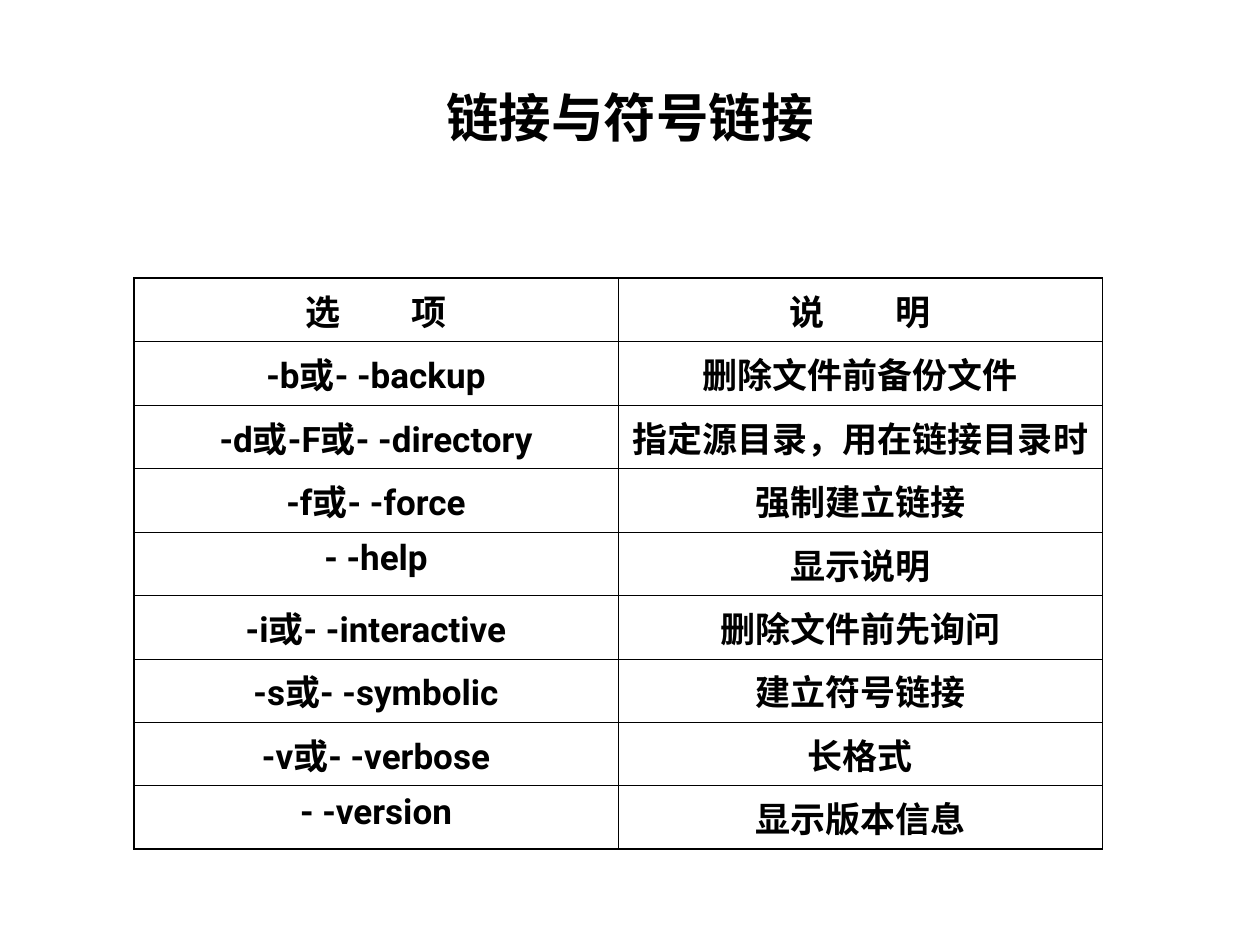
"""Build a slide with a table of link command options."""
from lxml import etree
from pptx import Presentation
from pptx import util as u
from pptx.dml.color import RGBColor
from pptx.enum import text
from pptx.oxml import ns

COLORS = {"ink": "000000", "paper": "FFFFFF"}
CJK = "Noto Sans CJK SC"
LATIN = "Roboto"
OUTER, INNER = 1.08, 0.45
COL_WIDTH, ROW_HEIGHT = 276.75, 36.28
HEADER_GAP = 36
ROWS = [
    ("选 项", "说 明"),
    ("-b或- -backup", "删除文件前备份文件"),
    ("-d或-F或- -directory", "指定源目录，用在链接目录时"),
    ("-f或- -force", "强制建立链接"),
    ("- -help", "显示说明"),
    ("-i或- -interactive", "删除文件前先询问"),
    ("-s或- -symbolic", "建立符号链接"),
    ("-v或- -verbose", "长格式"),
    ("- -version", "显示版本信息"),
]


def add_run(p, content, size=20, font=LATIN, color="ink", spacing=0):
    """Add a bold run with Latin and East Asian fonts and letter spacing."""
    r = p.add_run()
    r.text = content
    r.font.size = u.Pt(size)
    r.font.bold = True
    r.font.color.rgb = RGBColor.from_string(COLORS[color])
    r.font.name = font
    rPr = r._r.get_or_add_rPr()
    etree.SubElement(rPr, ns.qn("a:ea"), typeface=CJK)
    if spacing:
        rPr.set("spc", str(round(spacing * 100)))


def add_title(s, content):
    """Add the centred slide title."""
    sp = s.shapes.add_textbox(u.Pt(36), u.Pt(21.6), u.Pt(648), u.Pt(90))
    tf = sp.text_frame
    tf.word_wrap = True
    tf.vertical_anchor = text.MSO_ANCHOR.MIDDLE
    p = tf.paragraphs[0]
    p.alignment = text.PP_ALIGN.CENTER
    add_run(p, content, size=30, font=CJK)


def set_borders(cell, widths):
    """Draw the cell borders with the given width for each side."""
    tcPr = cell._tc.get_or_add_tcPr()
    for i, (side, width) in enumerate(widths.items()):
        ln = etree.Element(ns.qn(f"a:ln{side}"), w=str(u.Pt(width)))
        fill = etree.SubElement(ln, ns.qn("a:solidFill"))
        etree.SubElement(fill, ns.qn("a:srgbClr"), val=COLORS["ink"])
        tcPr.insert(i, ln)


def fill_cell(cell, content, header):
    """Write centred text in a cell, widening the gap in a header."""
    cell.fill.solid()
    cell.fill.fore_color.rgb = RGBColor.from_string(COLORS["paper"])
    p = cell.text_frame.paragraphs[0]
    p.alignment = text.PP_ALIGN.CENTER
    if header:
        first, last = content.split()
        add_run(p, first)
        add_run(p, " ", spacing=HEADER_GAP)
        add_run(p, last)
    else:
        add_run(p, content)


def add_options_table(s, rows):
    """Add the options table with a heavier outer frame."""
    n_rows, n_cols = len(rows), len(rows[0])
    table = s.shapes.add_table(
        n_rows, n_cols, u.Pt(76.5), u.Pt(159),
        u.Pt(COL_WIDTH * n_cols), u.Pt(ROW_HEIGHT * n_rows)).table
    for column in table.columns:
        column.width = u.Pt(COL_WIDTH)
    for i, row in enumerate(rows):
        table.rows[i].height = u.Pt(ROW_HEIGHT)
        for j, content in enumerate(row):
            cell = table.cell(i, j)
            fill_cell(cell, content, header=i == 0)
            edges = {"L": j == 0, "R": j == n_cols - 1,
                     "T": i == 0, "B": i == n_rows - 1}
            set_borders(cell, {side: OUTER if outer else INNER
                               for side, outer in edges.items()})


def main():
    """Build and save the slide."""
    prs = Presentation()
    prs.slide_width, prs.slide_height = u.Pt(720), u.Pt(540)
    s = prs.slides.add_slide(prs.slide_layouts[6])
    add_title(s, "链接与符号链接")
    add_options_table(s, ROWS)
    prs.save("out.pptx")


if __name__ == "__main__":
    main()
